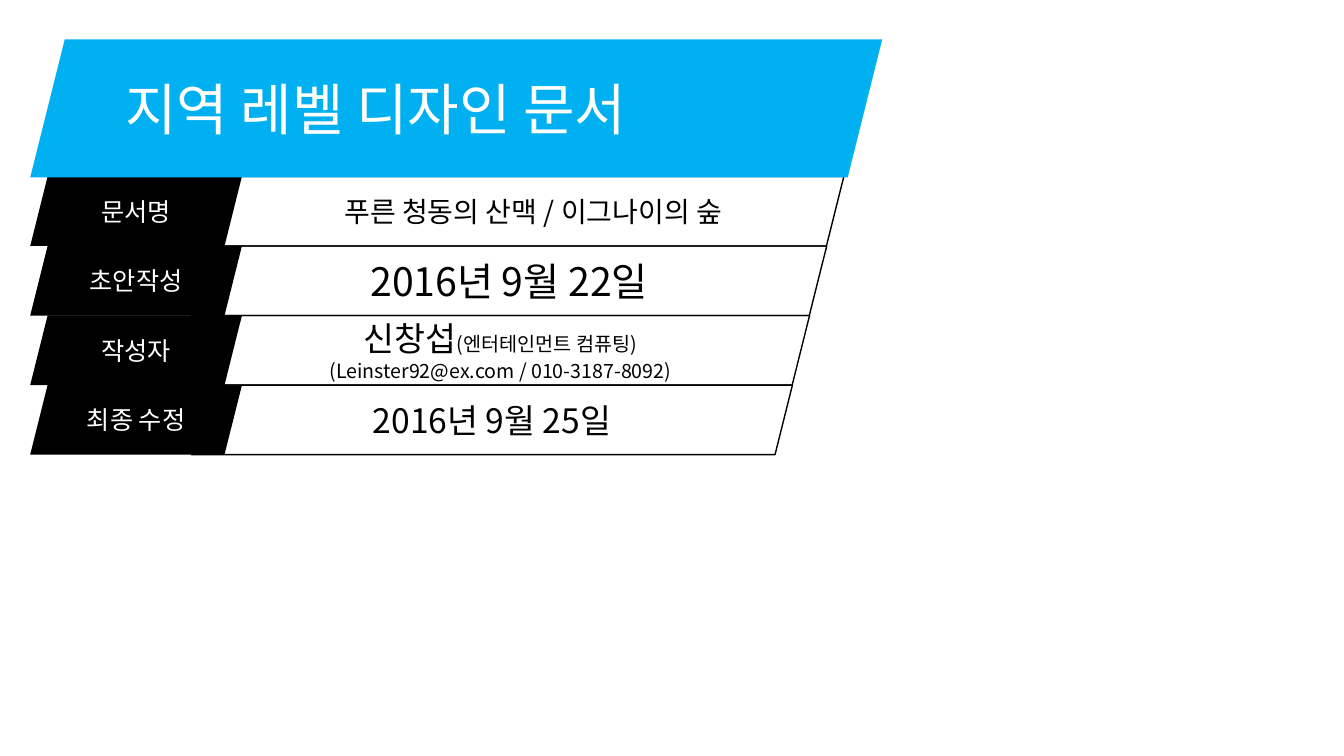
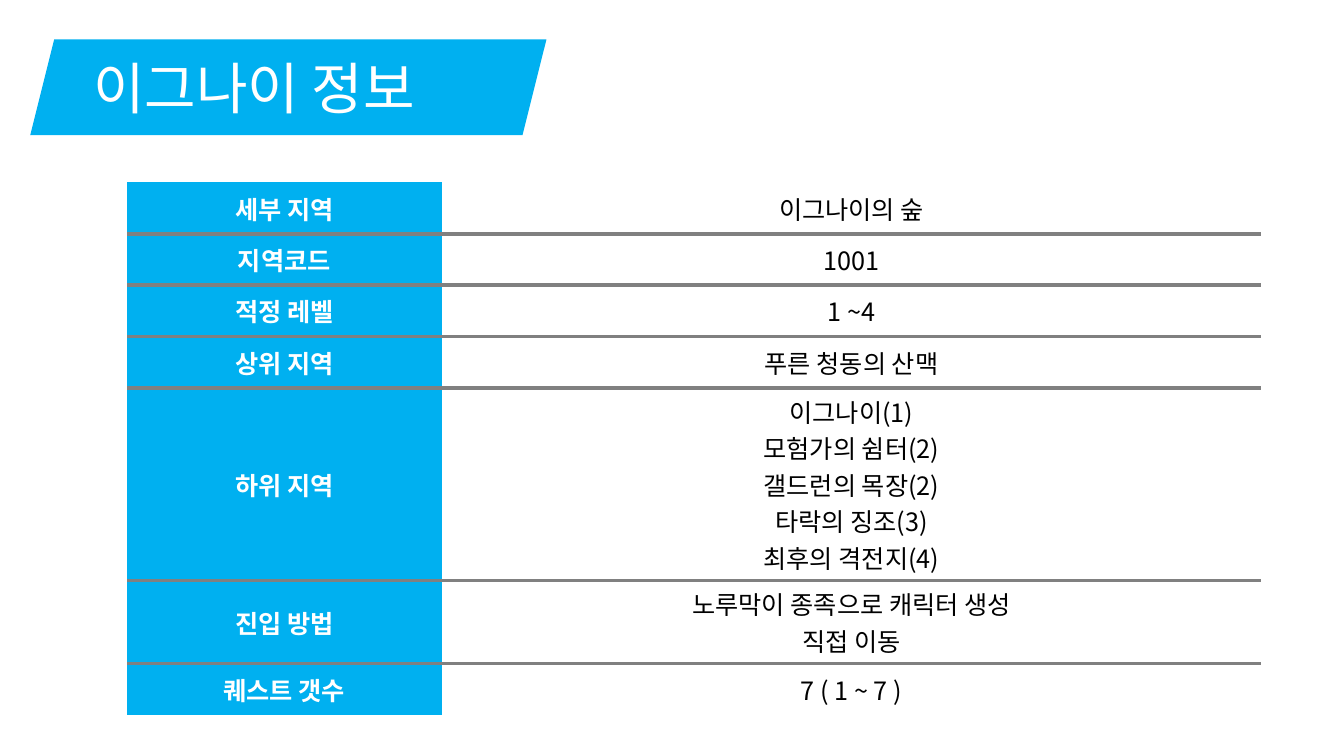
from lxml import etree
from pptx import Presentation
from pptx.dml.color import RGBColor
from pptx.enum import shapes, text
from pptx.oxml import ns
from pptx.util import Inches, Pt

FONT = "Noto Sans CJK KR"
BLUE = RGBColor(0x00, 0xB0, 0xF0)
BLACK = RGBColor(0, 0, 0)
WHITE = RGBColor(255, 255, 255)
GRAY = "808080"
PLAIN = "{2D5ABB26-0587-4C30-8999-92F81FD0307C}"

COVER = "지역 레벨 디자인 문서"
FIELDS = [
    ("문서명", [[("푸른 청동의 산맥 / 이그나이의 숲", 20)]]),
    ("초안작성", [[("2016년 9월 22일", 28)]]),
    ("작성자", [[("신창섭", 24), ("(엔터테인먼트 컴퓨팅)", 14)],
              [("(Leinster92@ex.com / 010-3187-8092)", 14)]]),
    ("최종 수정", [[("2016년 9월 25일", 24)]]),
]
INFO = "이그나이 정보"
ROWS = [
    ("세부 지역", ["이그나이의 숲"], 0.51),
    ("지역코드", ["1001"], 0.51),
    ("적정 레벨", ["1 ~4"], 0.51),
    ("상위 지역", ["푸른 청동의 산맥"], 0.51),
    ("하위 지역", ["이그나이(1)", "모험가의 쉼터(2)", "갤드런의 목장(2)",
               "타락의 징조(3)", "최후의 격전지(4)"], 1.64),
    ("진입 방법", ["노루막이 종족으로 캐릭터 생성", "직접 이동"], 0.72),
    ("퀘스트 갯수", ["7 ( 1 ~ 7 )"], 0.51),
]
COLS = [3.12, 8.13]
LEFT = 0.3
TOP = 0.39
STEP = 0.69
SLANT = 0.17


def write(frame, paras, color, bold=False, align=text.PP_ALIGN.CENTER):
    for i, runs in enumerate(paras):
        para = frame.add_paragraph() if i else frame.paragraphs[0]
        para.alignment = align
        for words, size in runs:
            run = para.add_run()
            run.text = words
            font = run.font
            font.name, font.size, font.bold = FONT, Pt(size), bold
            font.color.rgb = color
            asian = etree.SubElement(run._r.get_or_add_rPr(), ns.qn("a:ea"))
            asian.set("typeface", FONT)


def band(slide, box, fill=None):
    shape = slide.shapes.add_shape(
        shapes.MSO_SHAPE.PARALLELOGRAM, *map(Inches, box))
    shape.shadow.inherit = False
    if fill is None:
        shape.fill.background()
        shape.line.color.rgb = BLACK
        shape.line.width = Pt(1)
    else:
        shape.fill.solid()
        shape.fill.fore_color.rgb = fill
        shape.line.fill.background()
    frame = shape.text_frame
    frame.word_wrap = True
    frame.vertical_anchor = text.MSO_ANCHOR.MIDDLE
    return frame


def title(slide, words, width, height):
    frame = band(slide, (LEFT, TOP, width, height), BLUE)
    write(frame, [[(words, 40)]], WHITE, align=text.PP_ALIGN.LEFT)


def border(cell, side):
    line = etree.Element(ns.qn("a:" + side), w=str(Pt(3)))
    fill = etree.SubElement(line, ns.qn("a:solidFill"))
    etree.SubElement(fill, ns.qn("a:srgbClr"), val=GRAY)
    props = cell._tc.get_or_add_tcPr()
    props.insert(len(props.findall(ns.qn("a:lnT"))), line)


def cover(slide):
    for i, (label, paras) in enumerate(FIELDS):
        y = 1.75 + STEP * i
        write(band(slide, (LEFT, y, 2.1, STEP), BLACK), [[(label, 18)]], WHITE)
        x = 1.9 if i else 2.21
        frame = band(slide, (x, y, 8.37 - SLANT * i - x, STEP))
        if i:
            frame.margin_left = frame.margin_right = 0
            frame.margin_top = frame.margin_bottom = 0
        write(frame, paras, BLACK)
    title(slide, COVER, 8.45, 1.37)


def info(slide):
    title(slide, INFO, 5.12, 0.95)
    high = sum(row[2] for row in ROWS)
    table = slide.shapes.add_table(
        len(ROWS), len(COLS), Inches(1.26), Inches(1.81),
        Inches(sum(COLS)), Inches(high)).table
    table._tbl.tblPr.find(ns.qn("a:tableStyleId")).text = PLAIN
    table.first_row = table.horz_banding = False
    for col, width in zip(table.columns, COLS):
        col.width = Inches(width)
    for i, (label, lines, height) in enumerate(ROWS):
        table.rows[i].height = Inches(height)
        head, body = table.cell(i, 0), table.cell(i, 1)
        head.fill.solid()
        head.fill.fore_color.rgb = BLUE
        body.fill.background()
        write(head.text_frame, [[(label, 18)]], WHITE, True)
        write(body.text_frame, [[(line, 18)] for line in lines], BLACK)
        for cell in (head, body):
            cell.vertical_anchor = text.MSO_ANCHOR.MIDDLE
            if i > 0:
                border(cell, "lnT")
            if i < len(ROWS) - 1:
                border(cell, "lnB")


def main():
    deck = Presentation()
    deck.slide_width, deck.slide_height = Inches(13.33), Inches(7.5)
    for build in (cover, info):
        build(deck.slides.add_slide(deck.slide_layouts[6]))
    deck.save("out.pptx")


if __name__ == "__main__":
    main()
